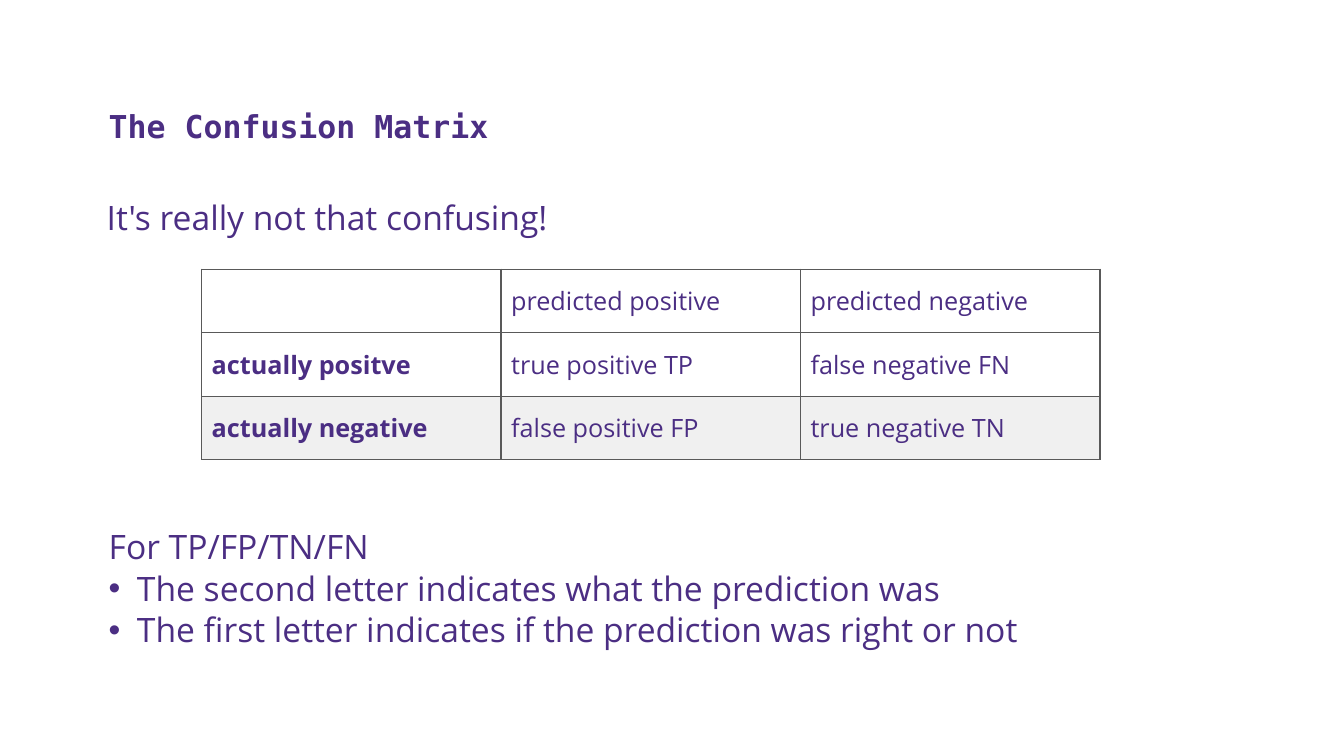
from pptx import Presentation, util as u
from pptx.dml.color import RGBColor
from pptx.enum import text
from pptx.oxml import parse_xml
from pptx.oxml.ns import nsdecls

COLORS = {"purple": "4B2E83", "border": "595959", "white": "FFFFFF", "band": "F0F0F0"}


class Deck:
    """Hold the slide style and add styled elements to the current slide."""

    font = "Open Sans"

    def __init__(self):
        self.prs = Presentation()
        self.prs.slide_width, self.prs.slide_height = u.Inches(13.33), u.Inches(7.5)
        self.s = self.prs.slides.add_slide(self.prs.slide_layouts[6])

    def run(self, p, words, size, bold=False, font=None):
        r = p.add_run()
        r.text = words
        r.font.name = font or self.font
        r.font.size, r.font.bold = u.Pt(size), bold
        r.font.color.rgb = RGBColor.from_string(COLORS["purple"])

    def bullet(self, p):
        pPr = p._p.get_or_add_pPr()
        pPr.set("marL", str(u.Inches(0.28)))
        pPr.set("indent", str(-u.Inches(0.28)))
        pPr.append(parse_xml(f'<a:buFont {nsdecls("a")} typeface="Arial"/>'))
        pPr.append(parse_xml(f'<a:buChar {nsdecls("a")} char="•"/>'))

    def text_box(self, at, lines, size=24, bold=False, font=None,
                 anchor=text.MSO_ANCHOR.TOP, bullets_from=None):
        tf = self.s.shapes.add_textbox(*map(u.Inches, at)).text_frame
        tf.word_wrap, tf.vertical_anchor = True, anchor
        for i, line in enumerate(lines):
            p = tf.add_paragraph() if i else tf.paragraphs[0]
            if i:
                p.space_before = u.Pt(0.9)
            if bullets_from is not None and i >= bullets_from:
                self.bullet(p)
            self.run(p, line, size, bold, font)

    def borders(self, cell):
        tcPr = cell._tc.get_or_add_tcPr()
        for i, side in enumerate(("lnL", "lnR", "lnT", "lnB")):
            tcPr.insert(i, parse_xml(
                f'<a:{side} {nsdecls("a")} w="12700"><a:solidFill>'
                f'<a:srgbClr val="{COLORS["border"]}"/></a:solidFill></a:{side}>'))

    def table(self, left, top, col_width, row_height, rows):
        n, m = len(rows), len(rows[0])
        size = map(u.Inches, (left, top, col_width * m, row_height * n))
        tbl = self.s.shapes.add_table(n, m, *size).table
        tbl.first_row = tbl.horz_banding = False
        for i, row in enumerate(rows):
            for j, words in enumerate(row):
                cell = tbl.cell(i, j)
                cell.vertical_anchor = text.MSO_ANCHOR.MIDDLE
                cell.fill.solid()
                fill = COLORS["band" if i == 2 else "white"]
                cell.fill.fore_color.rgb = RGBColor.from_string(fill)
                self.borders(cell)
                if words:
                    self.run(cell.text_frame.paragraphs[0], words, 18, bold=j == 0)


def main():
    deck = Deck()
    deck.text_box((0.96, 1.9, 10.29, 0.52), ["It's really not that confusing!"])
    deck.text_box((0.98, 0.41, 11.93, 1.08), ["The Confusion Matrix"], 22.5, True,
                  "DejaVu Sans Mono", text.MSO_ANCHOR.BOTTOM)
    deck.table(2, 2.67, 2.97, 0.63, [
        ("", "predicted positive", "predicted negative"),
        ("actually positve", "true positive TP", "false negative FN"),
        ("actually negative", "false positive FP", "true negative TN"),
    ])
    deck.text_box((0.98, 5.17, 10.29, 1.58), [
        "For TP/FP/TN/FN",
        "The second letter indicates what the prediction was",
        "The first letter indicates if the prediction was right or not",
    ], bullets_from=1)
    deck.prs.save("out.pptx")


if __name__ == "__main__":
    main()
